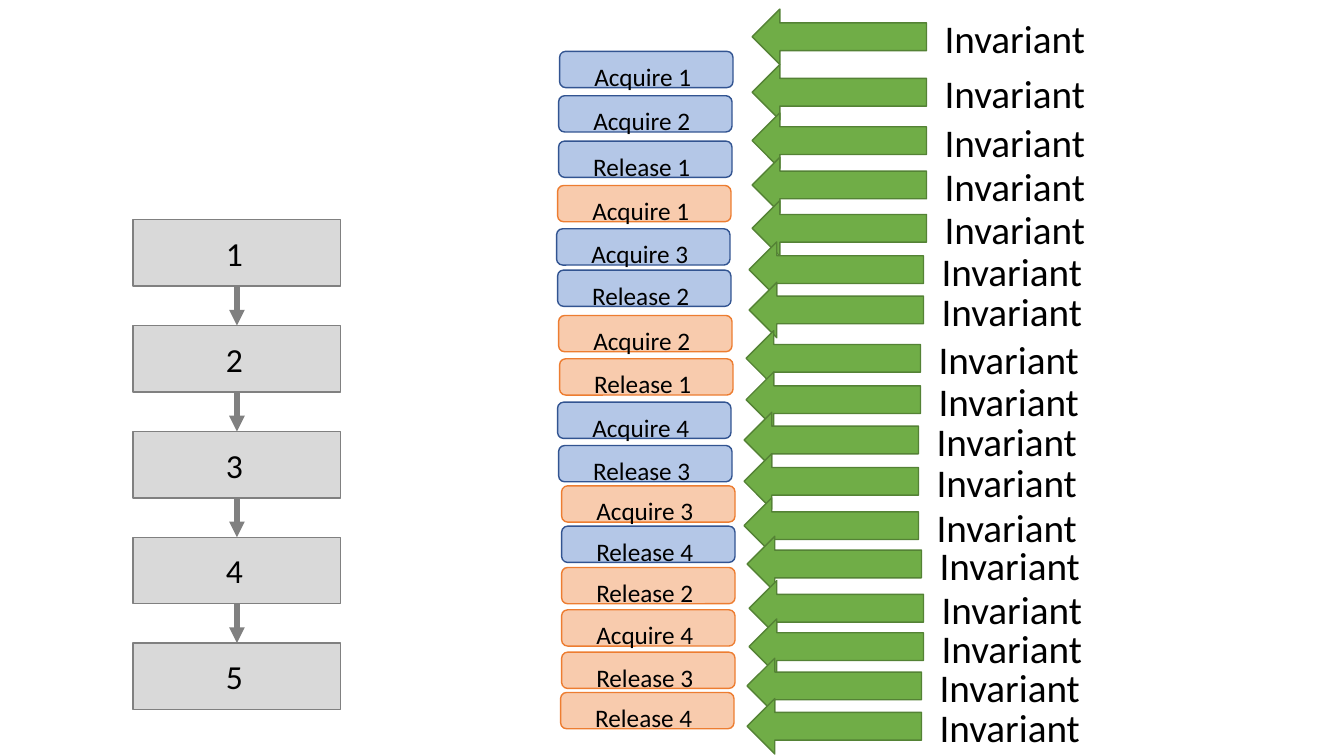
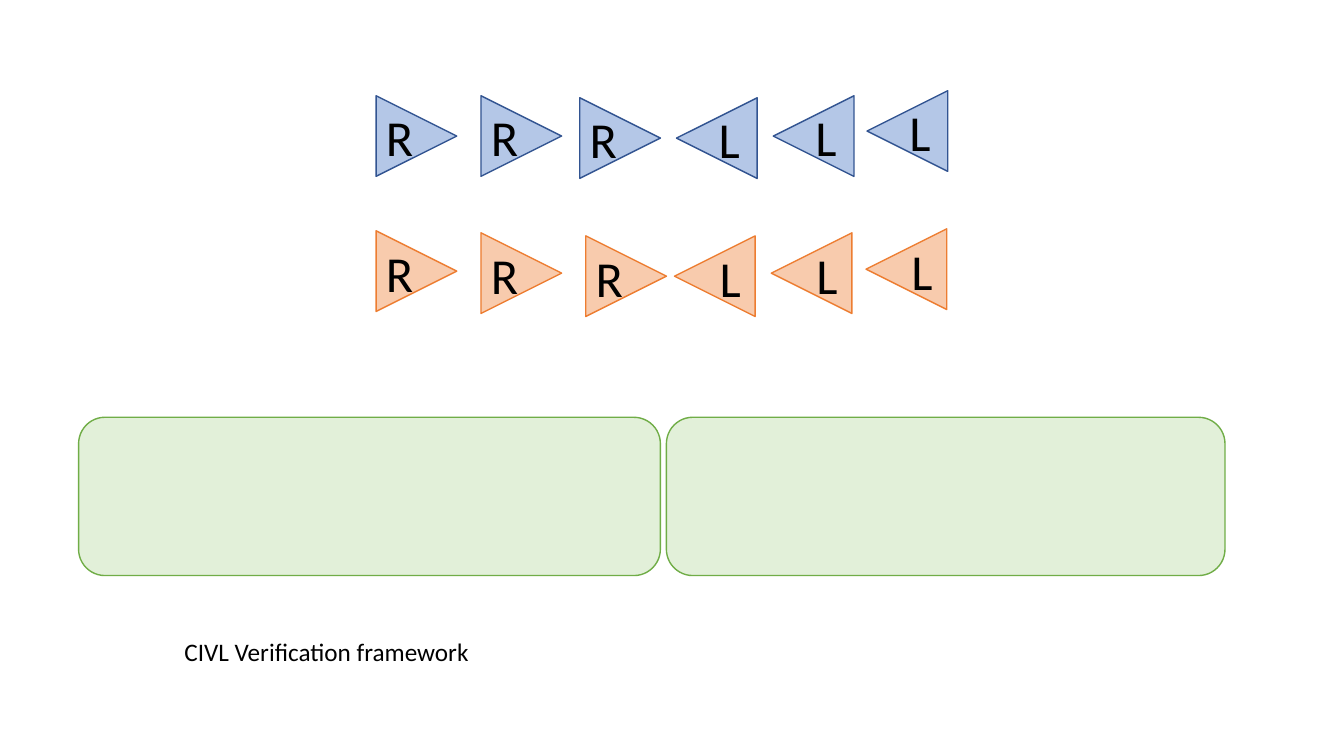
from itertools import pairwise
from pptx import Presentation
from pptx.dml.color import RGBColor as RGB
from pptx.enum.shapes import MSO_CONNECTOR as LINK, MSO_SHAPE as SHAPE
from pptx.enum.text import MSO_ANCHOR as ANCHOR, MSO_AUTO_SIZE as FIT, PP_ALIGN as ALIGN
from pptx.oxml.ns import qn
from pptx.util import Inches, Pt
from lxml.etree import SubElement

HUES = {
    "text": "000000",
    "gray": "D9D9D9", "gray_edge": "808080",
    "blue": "B4C7E7", "blue_edge": "325491",
    "peach": "F8CBAD", "peach_edge": "ED7D31",
    "green": "70AD47", "green_edge": "548235",
    "mint": "E2F0D9", "mint_edge": "70AD47",
}
FONT = "Calibri"

EVENTS = [
    ("Acquire 1", "blue", 0.03, 0), ("Acquire 2", "blue", 0.02, 0.44),
    ("Release 1", "blue", 0.02, 0.89), ("Acquire 1", "peach", 0.01, 1.33),
    ("Acquire 3", "blue", 0, 1.76), ("Release 2", "blue", 0.01, 2.17),
    ("Acquire 2", "peach", 0.02, 2.62), ("Release 1", "peach", 0.03, 3.05),
    ("Acquire 4", "blue", 0.01, 3.48), ("Release 3", "blue", 0.02, 3.91),
    ("Acquire 3", "peach", 0.05, 4.31), ("Release 4", "blue", 0.05, 4.71),
    ("Release 2", "peach", 0.05, 5.12), ("Acquire 4", "peach", 0.05, 5.54),
    ("Release 3", "peach", 0.05, 5.96), ("Release 4", "peach", 0.04, 6.36),
]
CHECKS = [
    (0.08, 0), (0.08, 0.55), (0.08, 1.03), (0.08, 1.47), (0.08, 1.9),
    (0.05, 2.31), (0.05, 2.71), (0.02, 3.19), (0.02, 3.6), (0, 4),
    (0, 4.41), (0, 4.85), (0.03, 5.23), (0.05, 5.67), (0.05, 6.05),
    (0.03, 6.44), (0.03, 6.84),
]
BLUES = [(0, 0.05), (1.04, 0.05), (2.02, 0.07), (2.98, 0.07), (3.94, 0.05), (4.87, 0)]
PEACHES = [(0, 0.02), (1.04, 0.04), (2.08, 0.07), (2.96, 0.07), (3.92, 0.04), (4.86, 0)]


def style(frame, text, size, align=ALIGN.LEFT):
    """Write one styled paragraph into a text frame."""
    frame.text = text
    para = frame.paragraphs[0]
    para.alignment = align
    font = para.runs[0].font
    font.name, font.size = FONT, Pt(size)
    font.color.rgb = RGB.from_string(HUES["text"])


def block(shapes, kind, box, hue):
    """Add a flat preset shape with its matching edge."""
    shape = shapes.add_shape(kind, *map(Inches, box))
    shape.shadow.inherit = False
    shape.fill.solid()
    shape.fill.fore_color.rgb = RGB.from_string(HUES[hue])
    shape.line.color.rgb = RGB.from_string(HUES[hue + "_edge"])
    shape.line.width = Pt(1)
    return shape


def label(shapes, text, box, size):
    """Add a wrapping text box."""
    frame = shapes.add_textbox(*map(Inches, box)).text_frame
    frame.word_wrap = True
    frame.auto_size = FIT.SHAPE_TO_FIT_TEXT
    style(frame, text, size)


def inner(shape, text, size, anchor, top, right):
    """Write centred text inside a shape, nudged by its insets."""
    frame = shape.text_frame
    frame.margin_left = frame.margin_bottom = 0
    frame.margin_top, frame.margin_right = Inches(top), Inches(right)
    frame.vertical_anchor = anchor
    style(frame, text, size, ALIGN.CENTER)


def arrow(shapes, start, end):
    """Join the bottom of one box to the top of the next."""
    link = shapes.add_connector(LINK.STRAIGHT, 0, 0, 0, 0)
    link.begin_connect(start, 2)
    link.end_connect(end, 0)
    link.line.color.rgb = RGB.from_string(HUES["gray_edge"])
    link.line.width = Pt(3.75)
    SubElement(link.line._get_or_add_ln(), qn("a:tailEnd"), type="triangle")
    SubElement(link._element.spPr, qn("a:effectLst"))


def steps(shapes, left, top):
    """Draw the chain of numbered steps."""
    boxes = []
    for i in range(5):
        box = block(shapes, SHAPE.RECTANGLE, (left, top + 1.05 * i, 2.06, 0.66), "gray")
        inner(box, str(i + 1), 24, ANCHOR.MIDDLE, 0, 0.05)
        boxes.append(box)
    for start, end in pairwise(boxes):
        arrow(shapes, start, end)


def trace(shapes, left, top):
    """Draw the interleaved lock events of both threads."""
    for text, hue, x, y in EVENTS:
        box = block(shapes, SHAPE.ROUNDED_RECTANGLE, (left + x, top + y, 1.72, 0.36), hue)
        inner(box, text, 18, ANCHOR.TOP, 0.08, 0.07)


def checks(shapes, left, top):
    """Draw the invariant arrows with their labels."""
    for x, y in CHECKS:
        pair = shapes.add_group_shape().shapes
        x, y = left + x, top + y
        block(pair, SHAPE.LEFT_ARROW, (x, y, 1.73, 0.55), "green")
        label(pair, "Invariant", (x + 1.81, y, 2.29, 0.57), 28)


def movers(shapes, left, top, hue, spots, shift, drop):
    """Draw a row of right movers followed by left movers."""
    for text, (x, y) in zip("RRRLLL", spots):
        right = text == "R"
        pair = shapes.add_group_shape().shapes
        x, y = left + x, top + y
        mark = block(pair, SHAPE.ISOSCELES_TRIANGLE, (x, y, 0.8, 0.8), hue)
        mark.rotation = 90 if right else 270
        label(pair, text, (x + (0 if right else shift), y + drop, 0.58 if right else 0.53, 0.71), 36)


def panels(shapes, left, top):
    """Draw the two rounded panels side by side."""
    for x, wide in ((5.83, 5.54), (0, 5.77)):
        block(shapes, SHAPE.ROUNDED_RECTANGLE, (left + x, top, wide, 1.57), "mint")


def locks(shapes):
    """Compose the slide of steps, trace and invariants."""
    steps(shapes, 1.32, 2.18)
    trace(shapes, 5.52, 0.51)
    checks(shapes, 7.38, 0.09)


def proof(shapes):
    """Compose the slide of movers and panels."""
    panels(shapes, 0.78, 4.14)
    movers(shapes, 3.73, 0.9, "blue", BLUES, 0.32, 0.05)
    movers(shapes, 3.73, 2.27, "peach", PEACHES, 0.35, 0.06)
    label(shapes, "CIVL Verification framework", (1.73, 6.26, 6.28, 0.4), 18)


def main():
    """Build and save the deck."""
    deck = Presentation()
    deck.slide_width, deck.slide_height = Inches(13.33), Inches(7.5)
    for draw in (locks, proof):
        draw(deck.slides.add_slide(deck.slide_layouts[6]).shapes)
    deck.save("out.pptx")


if __name__ == "__main__":
    main()
